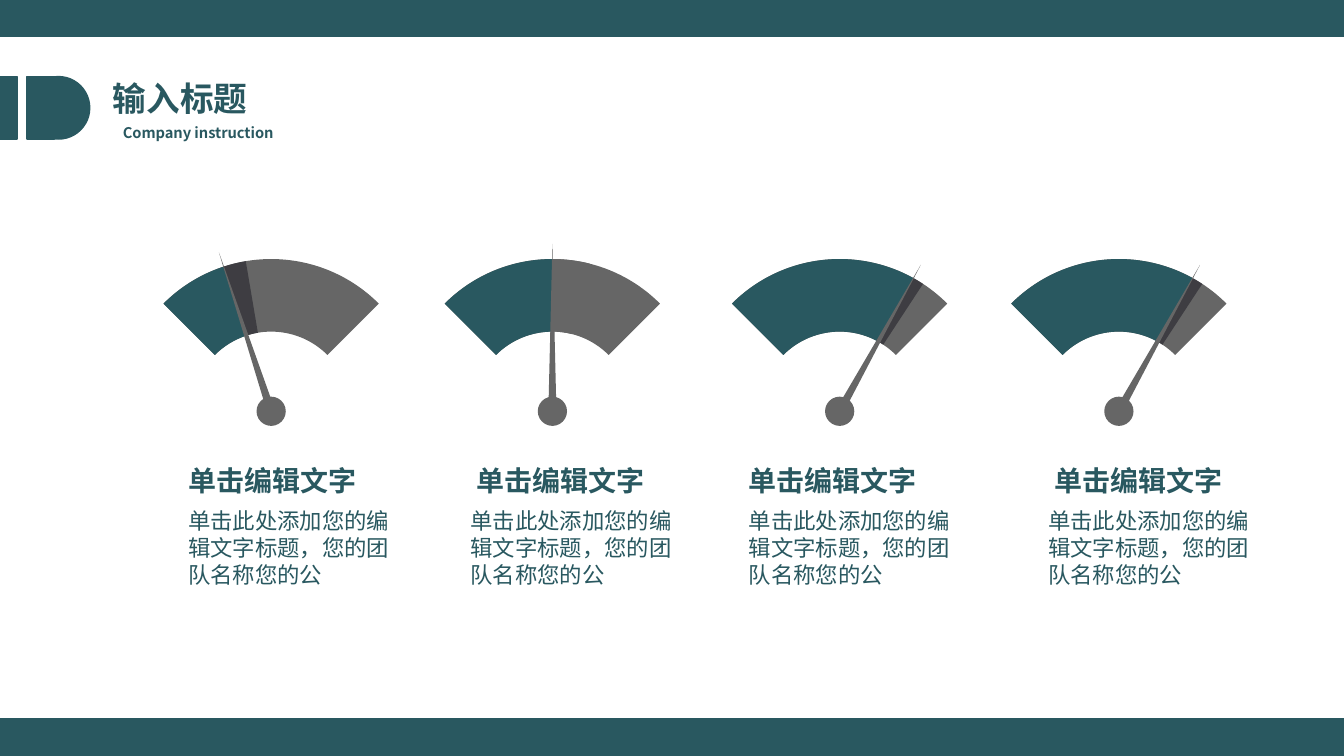
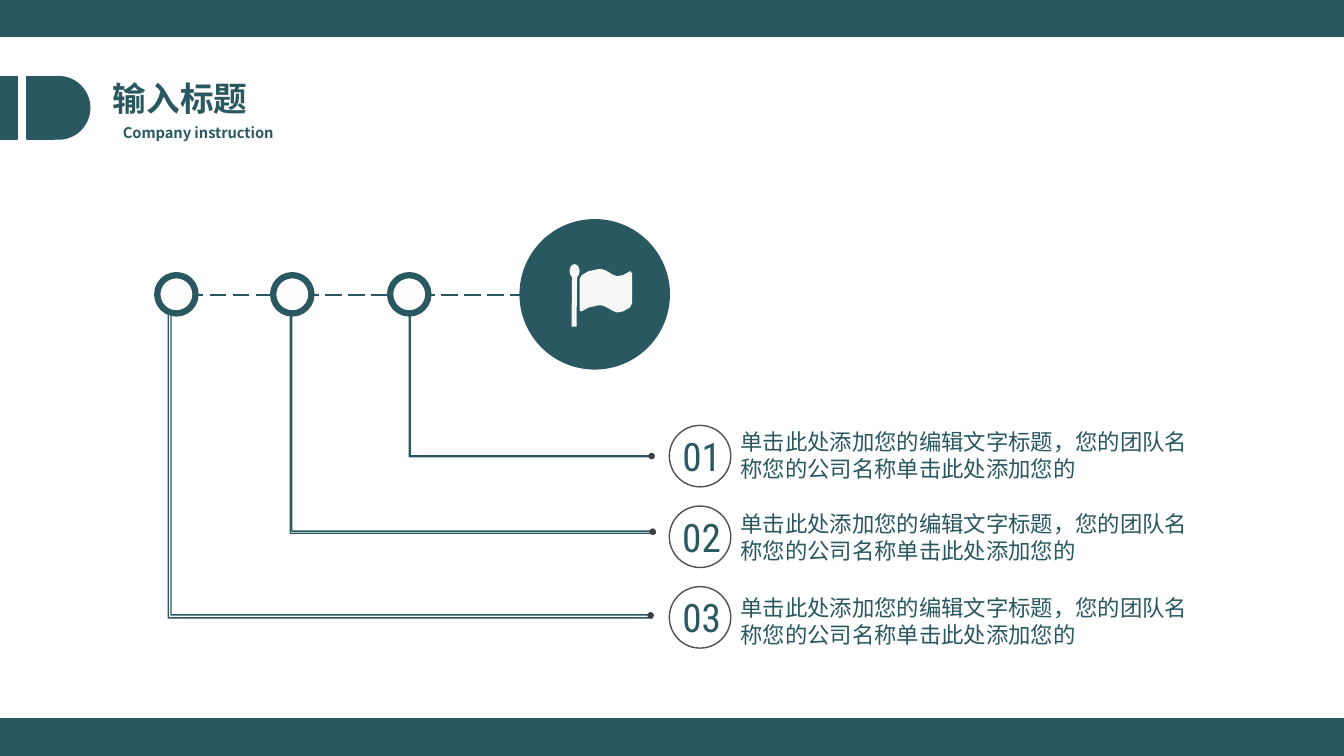
from dataclasses import dataclass
from math import cos, radians, sin, tan

from lxml.etree import SubElement
from pptx import Presentation
from pptx.dml.color import RGBColor
from pptx.enum.dml import MSO_LINE
from pptx.enum.shapes import MSO_CONNECTOR, MSO_SHAPE as SHAPE
from pptx.enum.text import MSO_ANCHOR, MSO_AUTO_SIZE, PP_ALIGN
from pptx.oxml.ns import qn
from pptx.util import Inches, Pt


@dataclass(frozen=True)
class Theme:
    teal: str = "295860"
    white: str = "FFFFFF"
    gray: str = "666666"
    charcoal: str = "3E3D42"
    ring: str = "505050"
    dot: str = "404040"
    node: str = "FDFDFD"
    flag: str = "F7F7F7"
    font: str = "Noto Sans CJK SC"
    number_font: str = "Roboto Condensed"
    title: float = 24
    subtitle: float = 10.5
    heading: float = 20
    body: float = 16
    number: float = 28


T = Theme()
WIDTH, HEIGHT = 40 / 3, 7.5
TITLE, SUBTITLE = "输入标题", "Company instruction"

GAUGE_HEADING = "单击编辑文字"
GAUGE_BODY = "单击此处添加您的编辑文字标题，您的团队名称您的公"
# centre x, needle angle from vertical, end of the band beside it, its colour, heading left, body left
GAUGES = [
    (2.69, -18.2, -9.6, T.charcoal, 1.77, 1.77),
    (5.48, 0, 14.2, T.gray, 4.63, 4.57),
    (8.33, 29, 33.2, T.charcoal, 7.33, 7.33),
    (11.1, 29, 33.2, T.charcoal, 10.36, 10.3),
]
GAUGE_Y, OUTER, INNER, SPREAD = 4.08, 1.51, 0.79, 45
NEEDLE, NEEDLE_HALF, HUB = 1.66, 0.04, 0.29

STEP_BODY = "单击此处添加您的编辑文字标题，您的团队名称您的公司名称单击此处添加您的"
# number, its box width, body top, dot position
STEPS = [
    ("01", 0.58, 4.2, (6.44, 4.5)),
    ("02", 0.67, 5.01, (6.45, 5.25)),
    ("03", 0.82, 5.85, (6.43, 6.08)),
]
STEP_TOP, STEP_PITCH = 4.22, 0.8
NODES = [3.87, 2.71, 1.56]
# left, width, height, adjustments
ELBOWS = [
    (4.06, 2.39, 1.42, (0.007, 0.006)),
    (2.88, 3.62, 2.18, (0.007, 0.01)),
    (1.67, 4.8, 3.02, (0.009, 0.01)),
]
ELBOW_TOP = 3.11
FLAG_WAVE = [(5.77, 2.73), (5.84, 2.69), (5.89, 2.68), (5.93, 2.67), (5.97, 2.67),
             (6.0, 2.68), (6.04, 2.7), (6.07, 2.72), (6.12, 2.74), (6.18, 2.73), (6.25, 2.69)]
FLAG_LEFT, FLAG_RIGHT, FLAG_HEIGHT = 5.75, 6.27, 0.36


def paint(sp, fill=None, line=None, width=1):
    sp.shadow.inherit = False
    if fill:
        sp.fill.solid()
        sp.fill.fore_color.rgb = RGBColor.from_string(fill)
    else:
        sp.fill.background()
    if line:
        sp.line.color.rgb = RGBColor.from_string(line)
        sp.line.width = Pt(width)
    else:
        sp.line.fill.background()
    return sp


def preset(shapes, kind, box, fill=None, line=None, width=1):
    return paint(shapes.add_shape(kind, *map(Inches, box)), fill, line, width)


def outline(shapes, contours, fill, curves=()):
    """Add a freeform; each index in curves starts three points that form one Bezier."""
    contours = [[(Inches(x), Inches(y)) for x, y in c] for c in contours]
    builder = shapes.build_freeform(*contours[0][0])
    for i, contour in enumerate(contours):
        if i:
            builder.move_to(*contour[0])
        builder.add_line_segments(contour[1:], close=True)
    sp = builder.convert_to_shape()
    lines = list(sp.element.iter(qn("a:lnTo")))
    for start in curves:
        first, *others = lines[start:start + 3]
        curve = SubElement(first.getparent(), qn("a:cubicBezTo"))
        first.addprevious(curve)
        for segment in (first, *others):
            curve.append(segment[0])
            segment.getparent().remove(segment)
    return paint(sp, fill)


def write(tf, text, size, bold=False, font=T.font, wrap=True):
    tf.word_wrap = wrap
    tf.auto_size = MSO_AUTO_SIZE.SHAPE_TO_FIT_TEXT
    tf.vertical_anchor = MSO_ANCHOR.TOP
    p = tf.paragraphs[0]
    p.alignment = PP_ALIGN.LEFT
    r = p.add_run()
    r.text = text
    r.font.size, r.font.bold, r.font.name = Pt(size), bold, font
    r.font.color.rgb = RGBColor.from_string(T.teal)
    SubElement(r.font._element, qn("a:ea"), typeface=font)


def label(shapes, box, text, size, **style):
    write(shapes.add_textbox(*map(Inches, box)).text_frame, text, size, **style)


def build_layout(prs, layout):
    """Set the bands' colour and title position, and drop the unused footers."""
    fill = prs.slide_master.background.fill
    fill.solid()
    fill.fore_color.rgb = RGBColor.from_string(T.teal)
    title, *footers = layout.placeholders
    title.left, title.top, title.width, title.height = map(Inches, (1.02, 0.72, 1.55, 0.5))
    for sp in footers:
        layout.shapes.element.remove(sp.element)


def move_panel_to_layout(slide, layout):
    """Draw the white panel on a slide, then move it into the layout."""
    sp = preset(slide.shapes, SHAPE.RECTANGLE, (0, 0.37, WIDTH, 6.75), T.white, T.white)
    sp.element.nvSpPr.cNvPr.set("id", "100")
    layout.shapes.element.append(sp.element)


def title_block(s):
    write(s.shapes.title.text_frame, TITLE, T.title, bold=True, wrap=False)
    label(s.shapes, (1.12, 1.18, 1.75, 0.28), SUBTITLE, T.subtitle, bold=True, wrap=False)
    preset(s.shapes, SHAPE.RECTANGLE, (0, 0.76, 0.17, 0.62), T.teal, T.teal)
    tab = s.shapes.add_group_shape().shapes
    for kind, width in ((SHAPE.RECTANGLE, 0.27), (SHAPE.OVAL, 0.62)):
        preset(tab, kind, (0.27, 0.76, width, 0.62), T.teal, T.teal)


def polar(cx, angle, radius):
    a = radians(angle)
    return cx + radius * sin(a), GAUGE_Y - radius * cos(a)


def arc(cx, radius, start, end):
    """Return the four Bezier points of an arc."""
    reach = radius * 4 / 3 * tan(radians(end - start) / 4)
    (x1, y1), (x2, y2) = polar(cx, start, radius), polar(cx, end, radius)
    a, b = radians(start), radians(end)
    return [(x1, y1), (x1 + reach * cos(a), y1 + reach * sin(a)),
            (x2 - reach * cos(b), y2 - reach * sin(b)), (x2, y2)]


def sector(shapes, cx, start, end, fill):
    points = arc(cx, OUTER, start, end) + arc(cx, INNER, end, start)
    outline(shapes, [points], fill, curves=(0, 4))


def gauge(s, cx, angle, band_end, band_color):
    shapes = s.shapes.add_group_shape().shapes
    sector(shapes, cx, -SPREAD, SPREAD, T.gray)
    sector(shapes, cx, -SPREAD, angle, T.teal)
    sector(shapes, cx, angle, band_end, band_color)
    needle = [polar(cx, angle + 90, NEEDLE_HALF), polar(cx, angle, NEEDLE),
              polar(cx, angle - 90, NEEDLE_HALF)]
    outline(shapes, [needle], T.gray)
    preset(shapes, SHAPE.OVAL, (cx - HUB / 2, GAUGE_Y - HUB / 2, HUB, HUB), T.gray)


def gauges_slide(s):
    for cx, angle, band_end, band_color, heading_left, body_left in GAUGES:
        gauge(s, cx, angle, band_end, band_color)
        label(s.shapes, (body_left, 4.98, 2.35, 0.91), GAUGE_BODY, T.body)
        label(s.shapes, (heading_left, 4.55, 1.88, 0.44), GAUGE_HEADING, T.heading,
              bold=True, wrap=False)


def flag(s):
    knob = [(5.7 + 0.05 * cos(radians(a)), 2.69 + 0.07 * sin(radians(a)))
            for a in range(60, -241, -30)]
    pole = knob + [(5.67, 3.24), (5.72, 3.24)]
    hem = [(x, y + FLAG_HEIGHT) for x, y in reversed(FLAG_WAVE)]
    cloth = [(FLAG_LEFT, 2.77), *FLAG_WAVE, (FLAG_RIGHT, 2.71),
             (FLAG_RIGHT, 3.01), *hem, (FLAG_LEFT, 3.08)]
    outline(s.shapes, [pole, cloth], T.flag)


def steps_slide(s):
    track = s.shapes.add_connector(MSO_CONNECTOR.STRAIGHT, *map(Inches, (1.62, 2.93, 5.54, 2.93)))
    track.line.color.rgb = RGBColor.from_string(T.teal)
    track.line.width = Pt(1.5)
    track.line.dash_style = MSO_LINE.LONG_DASH
    SubElement(track.element.spPr, qn("a:effectLst"))

    preset(s.shapes, SHAPE.OVAL, (5.16, 2.18, 1.48, 1.48), T.teal, T.teal)
    for left in NODES:
        preset(s.shapes, SHAPE.OVAL, (left, 2.73, 0.38, 0.38), T.node, T.teal, 4.5)
    for left, w, h, adjustments in ELBOWS:
        # The frame is turned a quarter, so its own width and height swap.
        box = (left + (w - h) / 2, ELBOW_TOP + (h - w) / 2, h, w)
        sp = preset(s.shapes, SHAPE.HALF_FRAME, box, T.white, T.teal)
        sp.rotation = 270
        for i, value in enumerate(adjustments):
            sp.adjustments[i] = value
    for i, (number, width, body_top, dot) in enumerate(STEPS):
        top = STEP_TOP + i * STEP_PITCH
        badge = s.shapes.add_group_shape().shapes
        preset(badge, SHAPE.OVAL, (6.64, top, 0.61, 0.61), None, T.ring)
        label(badge, (6.67, top + 0.02, width, 0.57), number, T.number, font=T.number_font)
        label(s.shapes, (7.25, body_top, 4.84, 0.64), STEP_BODY, T.body)
        preset(s.shapes, SHAPE.OVAL, (*dot, 0.05, 0.05), T.dot, T.dot)
    flag(s)


def main():
    prs = Presentation()
    prs.slide_width, prs.slide_height = Inches(WIDTH), Inches(HEIGHT)
    layout = prs.slide_layouts.get_by_name("Title Only")
    build_layout(prs, layout)
    for fill_slide in (gauges_slide, steps_slide):
        s = prs.slides.add_slide(layout)
        if len(prs.slides) == 1:
            move_panel_to_layout(s, layout)
        title_block(s)
        fill_slide(s)
    prs.save("out.pptx")


if __name__ == "__main__":
    main()
